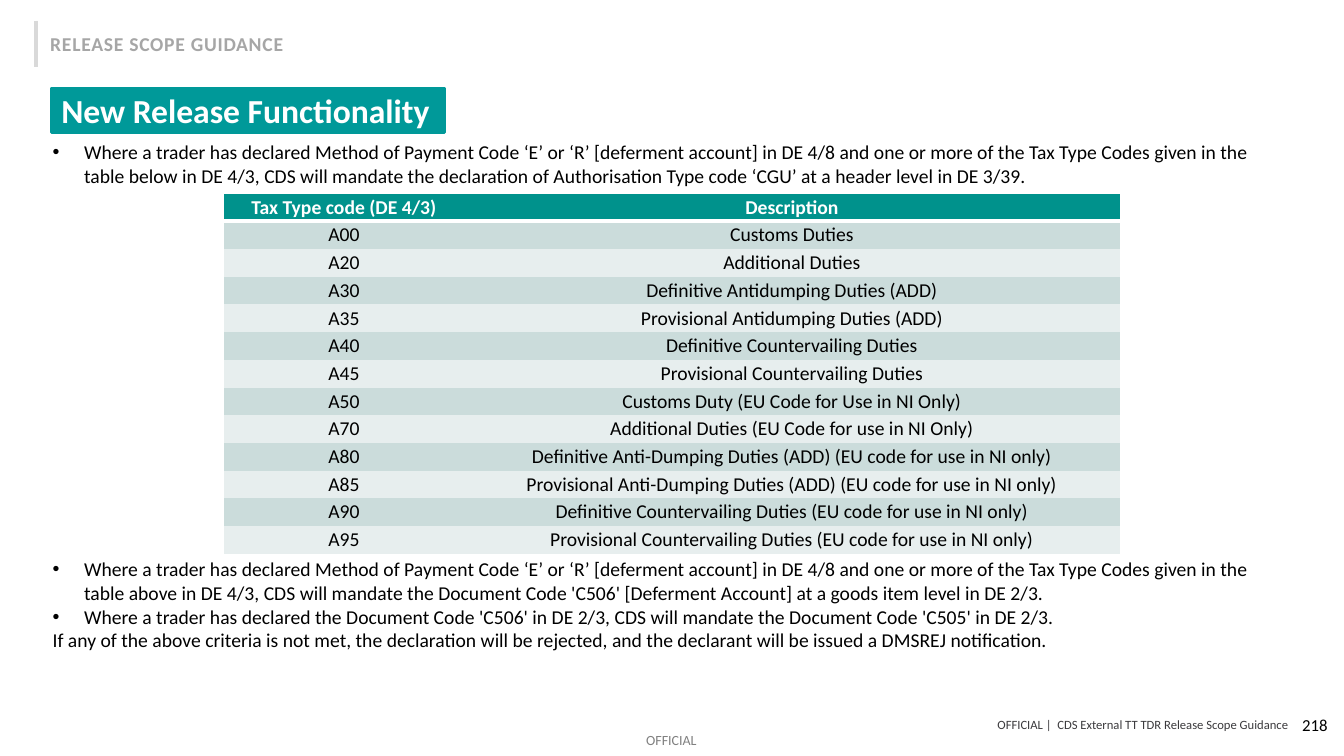
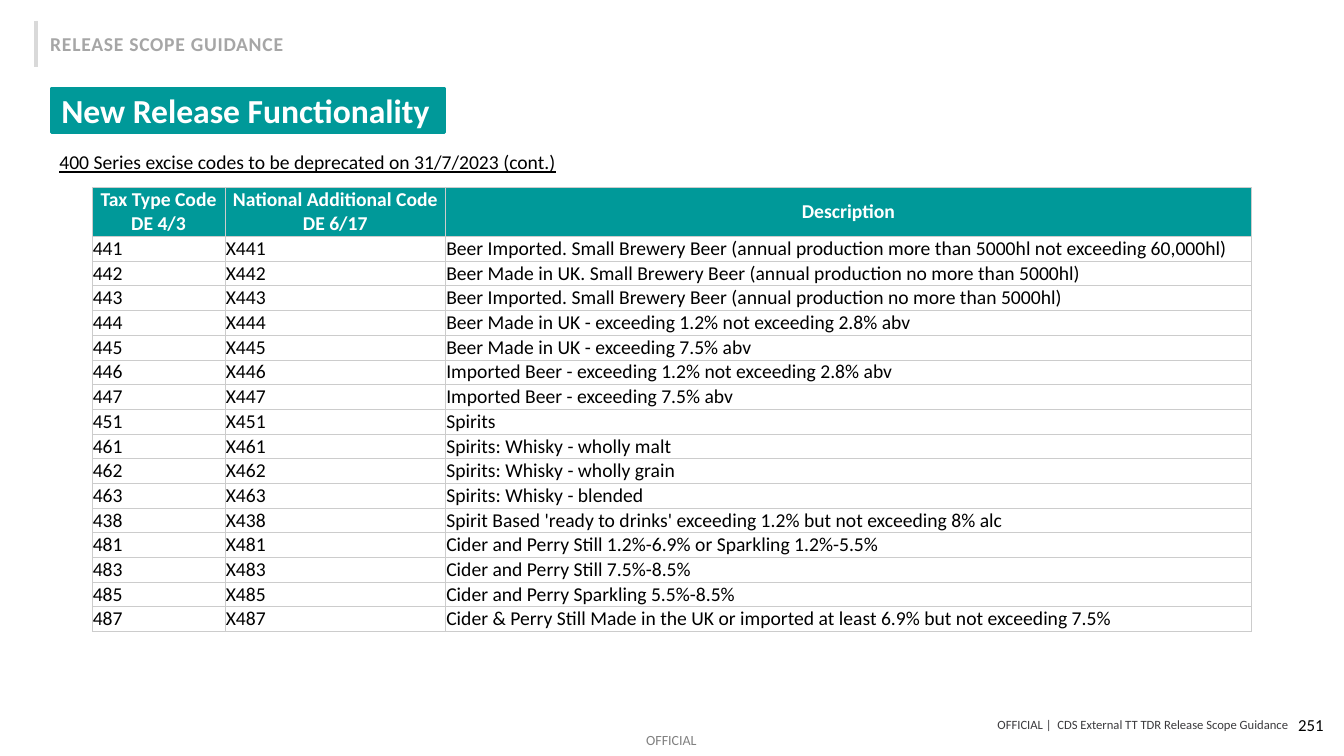
from lxml.etree import SubElement
from pptx import Presentation
from pptx.dml.color import RGBColor
from pptx.enum.shapes import MSO_CONNECTOR, MSO_SHAPE
from pptx.enum.text import MSO_ANCHOR as Anchor, PP_ALIGN as Align
from pptx.oxml import parse_xml
from pptx.oxml.ns import nsdecls, qn
from pptx.util import Pt

COLORS = {
    "black": "000000", "white": "FFFFFF", "teal": "009999", "table teal": "00928C",
    "dark band": "CBDCDB", "light band": "E7EEEE", "grid": "CCCCCC", "rule": "D9D9D9",
    "section": "A6A6A6", "footer": "3B3A3D", "marking": "808080",
}
NO_STYLE_TABLE = "{2D5ABB26-0587-4C30-8999-92F81FD0307C}"

BODY = {"size": Pt(14)}
HEADER = {"size": Pt(14), "bold": True}

# text, box, format, colour, alignment, anchor, inset left and right, inset top and bottom
SHARED_TEXTS = [
    ("OFFICIAL |  CDS External TT TDR Release Scope Guidance", (232, 512, 688, 11.5),
     {"size": Pt(9)}, "footer", Align.RIGHT, Anchor.MIDDLE, 0, 0),
    ("OFFICIAL", (461.5, 522.7, 40, 12),
     {"size": Pt(10)}, "marking", Align.LEFT, Anchor.TOP, 0, 0),
    ("RELEASE SCOPE GUIDANCE", (28.8, 19.6, 190, 24.2),
     HEADER, "section", Align.LEFT, Anchor.TOP, 7.2, 3.6),
]

DUTY_NOTES = [
    "Where a trader has declared Method of Payment Code ‘E’ or ‘R’ [deferment account] in DE 4/8 and one or more of the Tax Type Codes given in the table below in DE 4/3, CDS will mandate the declaration of Authorisation Type code ‘CGU’ at a header level in DE 3/39.",
    "Where a trader has declared Method of Payment Code ‘E’ or ‘R’ [deferment account] in DE 4/8 and one or more of the Tax Type Codes given in the table above in DE 4/3, CDS will mandate the Document Code 'C506' [Deferment Account] at a goods item level in DE 2/3.",
    "Where a trader has declared the Document Code 'C506' in DE 2/3, CDS will mandate the Document Code 'C505' in DE 2/3.",
    "If any of the above criteria is not met, the declaration will be rejected, and the declarant will be issued a DMSREJ notification.",
]
DUTIES = [
    ("Tax Type code (DE 4/3)", "Description"),
    ("A00", "Customs Duties"),
    ("A20", "Additional Duties"),
    ("A30", "Definitive Antidumping Duties (ADD)"),
    ("A35", "Provisional Antidumping Duties (ADD)"),
    ("A40", "Definitive Countervailing Duties"),
    ("A45", "Provisional Countervailing Duties"),
    ("A50", "Customs Duty (EU Code for Use in NI Only)"),
    ("A70", "Additional Duties (EU Code for use in NI Only)"),
    ("A80", "Definitive Anti-Dumping Duties (ADD) (EU code for use in NI only)"),
    ("A85", "Provisional Anti-Dumping Duties (ADD) (EU code for use in NI only)"),
    ("A90", "Definitive Countervailing Duties (EU code for use in NI only)"),
    ("A95", "Provisional Countervailing Duties (EU code for use in NI only)"),
]
EXCISE_CODES = {
    "441": "Beer Imported. Small Brewery Beer (annual production more than 5000hl not exceeding 60,000hl)",
    "442": "Beer Made in UK. Small Brewery Beer (annual production no more than 5000hl)",
    "443": "Beer Imported. Small Brewery Beer (annual production no more than 5000hl)",
    "444": "Beer Made in UK - exceeding 1.2% not exceeding 2.8% abv",
    "445": "Beer Made in UK - exceeding 7.5% abv",
    "446": "Imported Beer - exceeding 1.2% not exceeding 2.8% abv",
    "447": "Imported Beer - exceeding 7.5% abv",
    "451": "Spirits",
    "461": "Spirits: Whisky - wholly malt",
    "462": "Spirits: Whisky - wholly grain",
    "463": "Spirits: Whisky - blended",
    "438": "Spirit Based 'ready to drinks' exceeding 1.2% but not exceeding 8% alc",
    "481": "Cider and Perry Still 1.2%-6.9% or Sparkling 1.2%-5.5%",
    "483": "Cider and Perry Still 7.5%-8.5%",
    "485": "Cider and Perry Sparkling 5.5%-8.5%",
    "487": "Cider & Perry Still Made in the UK or imported at least 6.9% but not exceeding 7.5%",
}
EXCISES = [("Tax Type Code\vDE 4/3", "National Additional Code\vDE 6/17", "Description")]
EXCISES += [(code, f"X{code}", description) for code, description in EXCISE_CODES.items()]

TABLES = [
    {"rows": DUTIES, "left": 160, "top": 138.3, "columns": (171.4, 468.6),
     "heights": (19.8, 19.8), "insets": (2.16, 1.3), "header": "table teal",
     "bands": ("dark band", "light band"), "align": Align.CENTER,
     "header borders": {"lnB": ("white", 3)}, "body borders": {}},
    {"rows": EXCISES, "left": 65.8, "top": 133.9, "columns": (95, 157.5, 575.5),
     "heights": (35, 17.65), "insets": (0.5, 0.25), "header": "teal",
     "bands": ("white", "white"), "align": Align.LEFT,
     "header borders": dict.fromkeys(("lnL", "lnR", "lnT", "lnB"), ("grid", 0.5)),
     "body borders": dict.fromkeys(("lnL", "lnR", "lnT", "lnB"), ("grid", 0.5))},
]


def write(frame, texts, font_format, color="black", align=Align.LEFT):
    """Fill a text frame with one paragraph per text, all in one format."""
    frame.word_wrap = True
    for index, text in enumerate(texts):
        paragraph = frame.add_paragraph() if index else frame.paragraphs[0]
        paragraph.text = text
        paragraph.alignment = align
        for run in paragraph.runs:
            run.font.name = "Calibri"
            run.font.color.rgb = RGBColor.from_string(COLORS[color])
            for name, value in font_format.items():
                setattr(run.font, name, value)
    return frame


def add_text(slide, box, texts, font_format, color="black", align=Align.LEFT,
             anchor=Anchor.TOP, side=7.2, edge=3.6):
    frame = slide.shapes.add_textbox(*map(Pt, box)).text_frame
    layout = {"vertical_anchor": anchor, "margin_left": Pt(side), "margin_right": Pt(side),
              "margin_top": Pt(edge), "margin_bottom": Pt(edge)}
    for name, value in layout.items():
        setattr(frame, name, value)
    return write(frame, texts, font_format, color, align)


presentation = Presentation()
presentation.slide_width, presentation.slide_height = Pt(960), Pt(540)

for page, number_left, design in zip(("218", "251"), (739.4, 736.6), TABLES):
    slide = presentation.slides.add_slide(presentation.slide_layouts[6])

    for text, box, font_format, color, align, anchor, side, edge in SHARED_TEXTS:
        frame = add_text(slide, box, [text], font_format, color, align, anchor, side, edge)
    section_run = frame.paragraphs[0].runs[0]
    section_run._r.get_or_add_rPr().set("spc", "50")
    add_text(slide, (number_left, 503.3, 216, 28.8), [page], {"size": Pt(12)},
             align=Align.RIGHT, anchor=Anchor.MIDDLE)

    for x in (25.2, 25.9):
        rule = slide.shapes.add_connector(
            MSO_CONNECTOR.STRAIGHT, Pt(x), Pt(14.8), Pt(x), Pt(48.2))
        rule.line.color.rgb = RGBColor.from_string(COLORS["rule"])
        rule.line.width = Pt(2.25)
        SubElement(rule._element.spPr, qn("a:effectLst"))

    title = slide.shapes.add_shape(
        MSO_SHAPE.RECTANGLE, Pt(36.7), Pt(62.9), Pt(280.8), Pt(31.7))
    title.shadow.inherit = False
    title.fill.solid()
    title.fill.fore_color.rgb = RGBColor.from_string(COLORS["teal"])
    title.line.color.rgb = RGBColor.from_string(COLORS["teal"])
    title.line.width = Pt(2)
    title.text_frame.vertical_anchor = Anchor.MIDDLE
    write(title.text_frame, ["New Release Functionality"],
          {"size": Pt(24), "bold": True}, "white")

    rows, columns = design["rows"], design["columns"]
    header_height, row_height = design["heights"]
    table_height = header_height + row_height * (len(rows) - 1)
    table = slide.shapes.add_table(
        len(rows), len(columns), Pt(design["left"]), Pt(design["top"]),
        Pt(sum(columns)), Pt(table_height)).table
    table.horz_banding = False
    table._tbl.tblPr.find(qn("a:tableStyleId")).text = NO_STYLE_TABLE
    for column, width in zip(table.columns, columns):
        column.width = Pt(width)

    side, edge = design["insets"]
    for row_index, texts in enumerate(rows):
        is_header = row_index == 0
        table.rows[row_index].height = Pt(header_height if is_header else row_height)
        fill = design["header"] if is_header else design["bands"][(row_index - 1) % 2]
        borders = design["header borders" if is_header else "body borders"]
        for column_index, text in enumerate(texts):
            cell = table.cell(row_index, column_index)
            cell.margin_left = cell.margin_right = Pt(side)
            cell.margin_top = cell.margin_bottom = Pt(edge)
            cell.vertical_anchor = Anchor.MIDDLE
            cell.fill.solid()
            cell.fill.fore_color.rgb = RGBColor.from_string(COLORS[fill])
            write(cell.text_frame, [text], HEADER if is_header else BODY,
                  "white" if is_header else "black",
                  Align.CENTER if is_header else design["align"])
            for position, (tag, (color, width)) in enumerate(borders.items()):
                cell._tc.get_or_add_tcPr().insert(position, parse_xml(
                    f'<a:{tag} {nsdecls("a")} w="{Pt(width)}"><a:solidFill>'
                    f'<a:srgbClr val="{COLORS[color]}"/></a:solidFill></a:{tag}>'))

duty_slide, excise_slide = presentation.slides

notes = add_text(duty_slide, (30.5, 96.5, 888.5, 414.7), DUTY_NOTES, BODY)
for paragraph in notes.paragraphs[:3]:
    properties = paragraph._p.get_or_add_pPr()
    properties.set("marL", str(Pt(22.5)))
    properties.set("indent", str(-Pt(22.5)))
    SubElement(properties, qn("a:buFont"), typeface="Arial")
    SubElement(properties, qn("a:buChar"), char="•")
notes.paragraphs[1].space_before = Pt(264.5)

add_text(excise_slide, (35.3, 103.7, 480, 24.2),
         ["400 Series excise codes to be deprecated on 31/7/2023 (cont.)"],
         {"size": Pt(14), "underline": True})

presentation.save("out.pptx")
